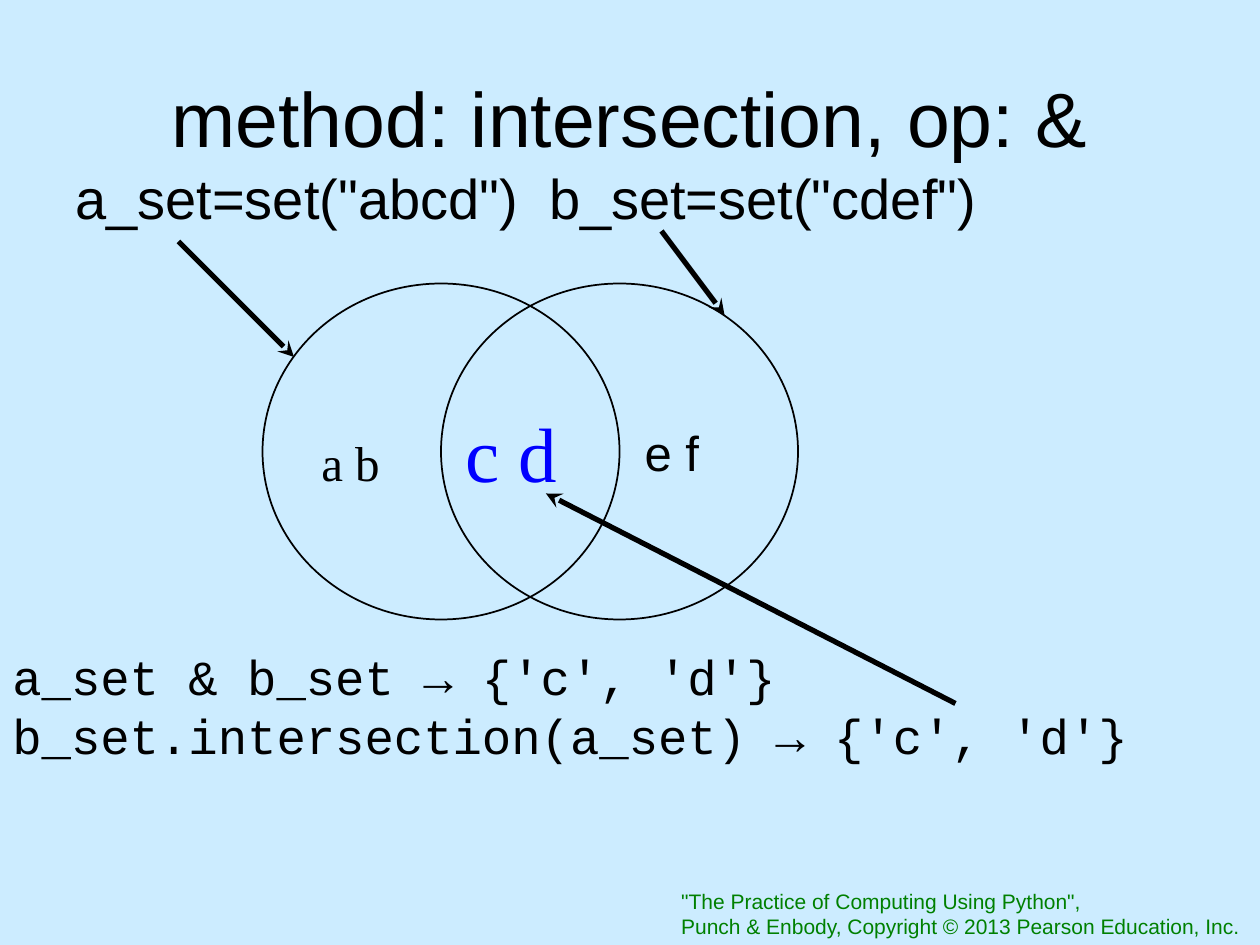
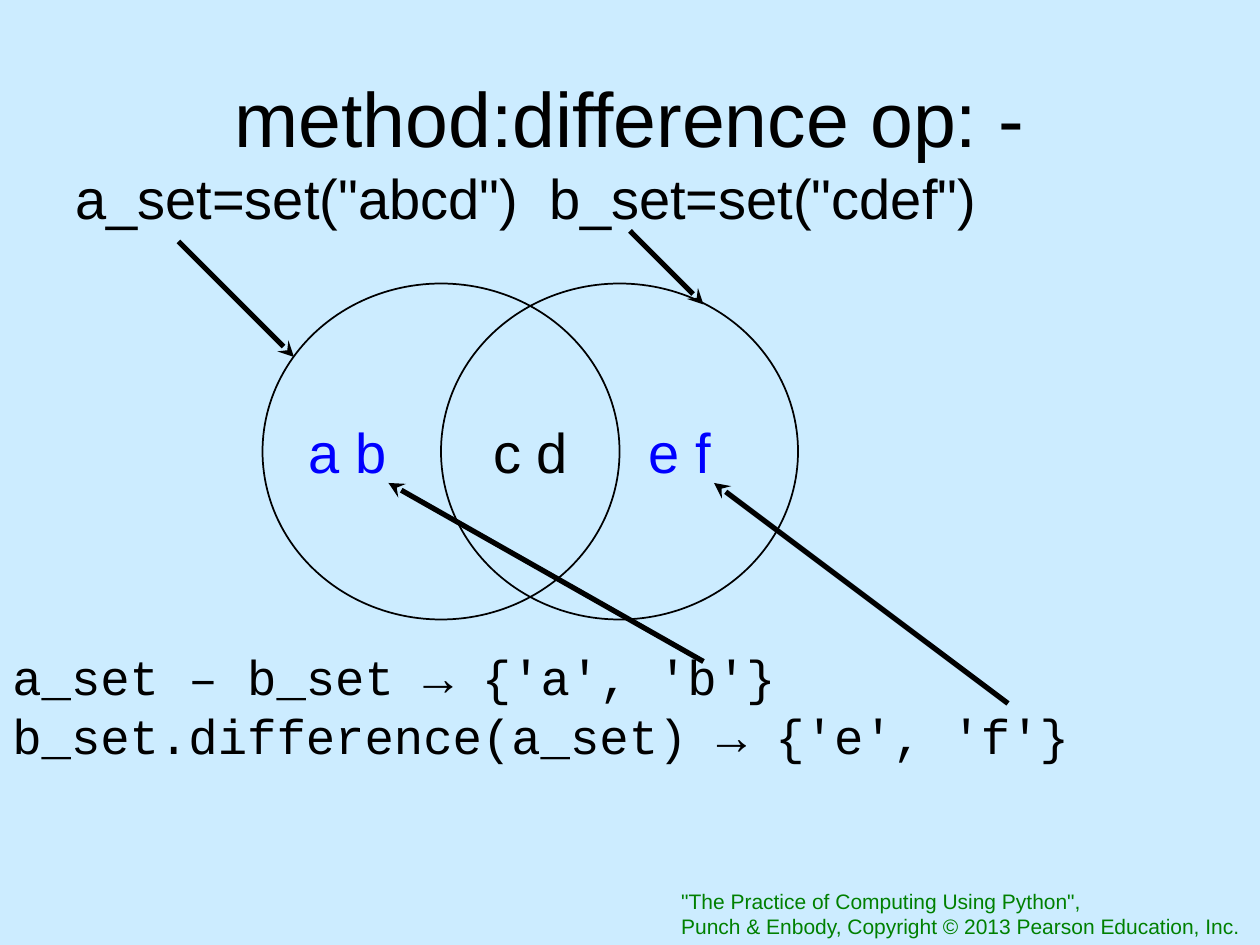
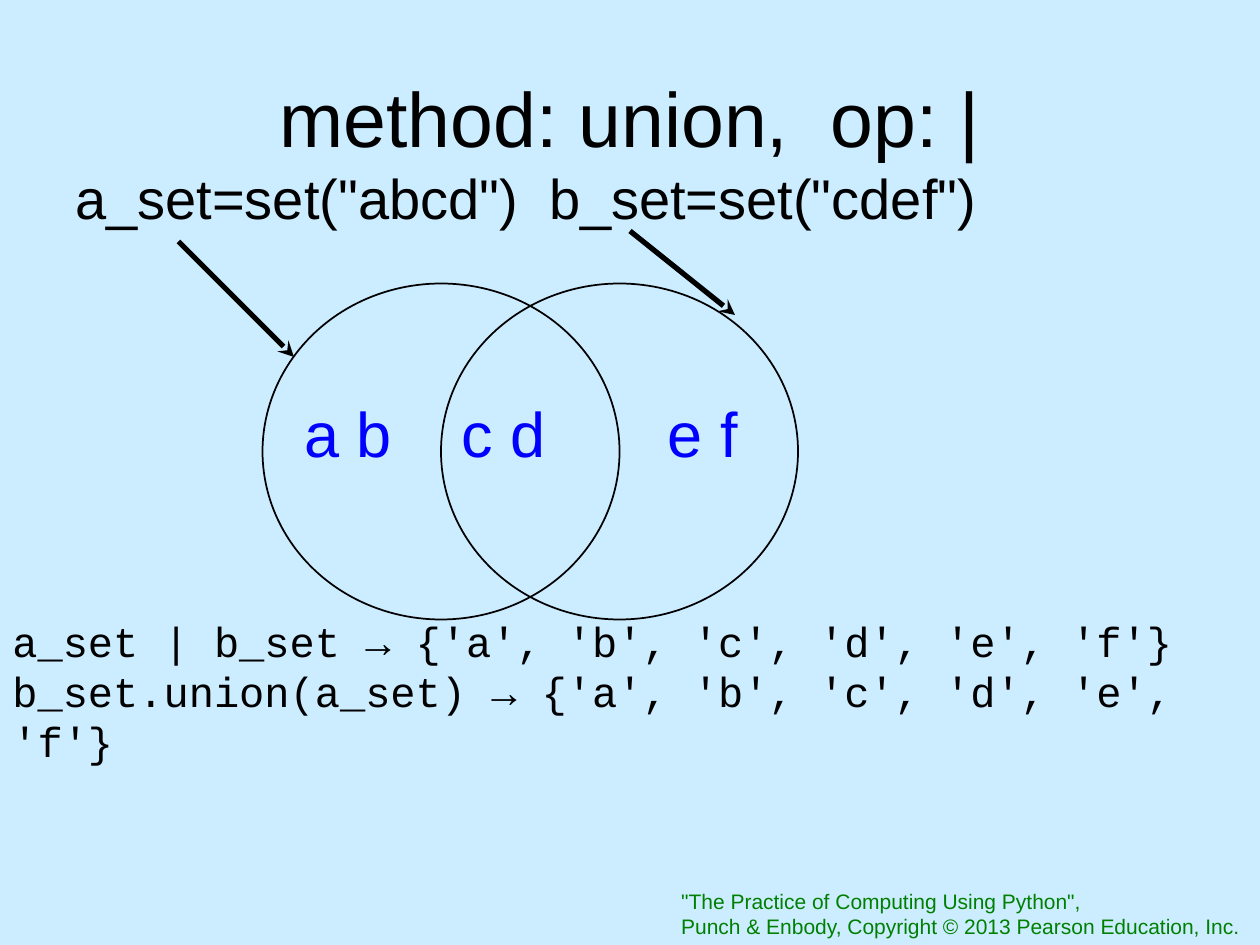
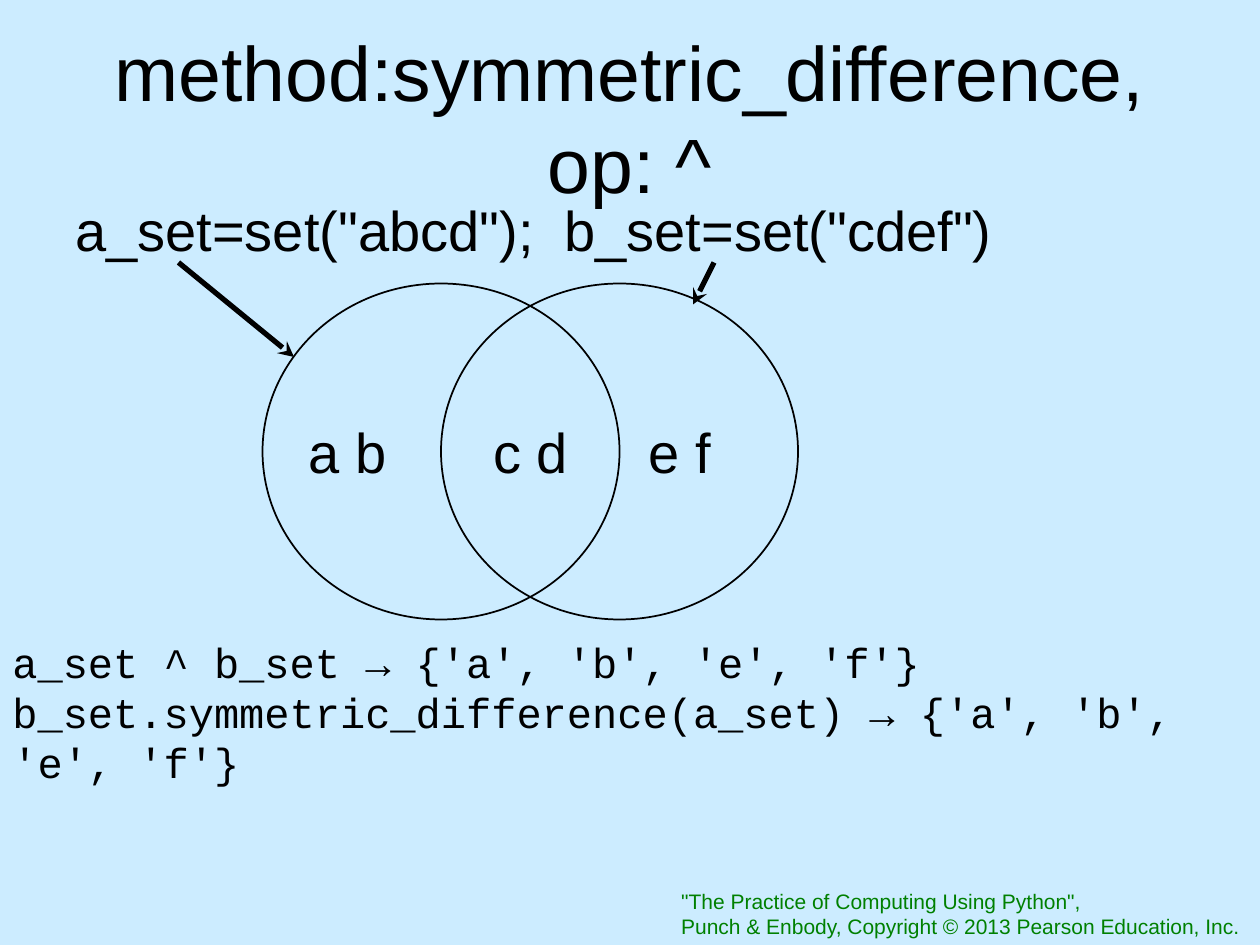
"""Build four slides on Python set operations, each with a two-circle diagram."""
from lxml import etree
from pptx import Presentation
from pptx.dml.color import RGBColor
from pptx.enum.shapes import MSO_CONNECTOR, MSO_SHAPE
from pptx.enum.text import MSO_ANCHOR, PP_ALIGN
from pptx.oxml.ns import qn
from pptx.util import Inches, Pt

LINE = MSO_CONNECTOR.STRAIGHT
OVAL = MSO_SHAPE.OVAL
TOP, MIDDLE = MSO_ANCHOR.TOP, MSO_ANCHOR.MIDDLE
LEFT, CENTER = PP_ALIGN.LEFT, PP_ALIGN.CENTER

COLS, ROWS = 120, 90
WIDTH, HEIGHT = Inches(10), Inches(7.5)
COLORS = {"back": "CCECFF", "ink": "000000", "mark": "0000FF", "foot": "008000"}
SANS, SERIF, MONO = "Arial", "Times New Roman", "Courier New"

CIRCLES = [(42, 27, 34, 32), (25, 27, 34, 32)]
TITLE = (6, 3.6, 108, 15)
FOOT = (63.7, 84, 56.2, 6)
SETS = 'a_set=set("abcd")  b_set=set("cdef")'
CREDIT = ('"The Practice of Computing Using Python",\n'
          "Punch & Enbody, Copyright © 2013 Pearson Education, Inc.")

SLIDES = [
    {
        "title": "method: intersection, op: &",
        "sets": SETS, "sets_box": (6, 15, 108, 65.4),
        "code": "a_set & b_set → {'c', 'd'}\n"
                "b_set.intersection(a_set) → {'c', 'd'}",
        "code_box": (0, 61, 120, 18.1), "code_size": 28,
        "labels": [("e f", 61.4, 43, 28, SANS, "ink"),
                   ("a b", 30.6, 44, 28, SERIF, "ink"),
                   ("c d", 44.3, 43, 44, SERIF, "mark")],
        "arrows": [(17, 23, 28, 34), (63, 22, 69, 30), (91, 67, 52, 47)],
    },
    {
        "title": "method:difference op: -",
        "sets": SETS, "sets_box": (6, 15, 108, 65.4),
        "code": "a_set – b_set → {'a', 'b'}\n"
                "b_set.difference(a_set) → {'e', 'f'}",
        "code_box": (0, 61, 120, 18.1), "code_size": 28,
        "labels": [("e f", 61.8, 43, 32, SANS, "mark"),
                   ("a b", 29.4, 43, 32, SANS, "mark"),
                   ("c d", 47, 43, 32, SANS, "ink")],
        "arrows": [(17, 23, 28, 34), (60, 22, 67, 29),
                   (67, 63, 37, 46), (96, 67, 68, 46)],
    },
    {
        "title": "method: union,  op: |",
        "sets": SETS, "sets_box": (6, 15, 108, 65.4),
        "code": "a_set | b_set → {'a', 'b', 'c', 'd', 'e', 'f'}\n"
                "b_set.union(a_set) → {'a', 'b', 'c', 'd', 'e', 'f'}",
        "code_box": (0, 58, 120, 25), "code_size": 24,
        "labels": [("a b", 29, 41.2, 36, SANS, "mark"),
                   ("c d", 44, 41.2, 36, SANS, "mark"),
                   ("e f", 63.6, 41.2, 36, SANS, "mark")],
        "arrows": [(17, 23, 28, 34), (60, 22, 70, 30)],
    },
    {
        "title": "method:symmetric_difference, op: ^",
        "sets": 'a_set=set("abcd");  b_set=set("cdef")',
        "sets_box": (6, 18, 114, 62.4),
        "code": "a_set ^ b_set → {'a', 'b', 'e', 'f'}\n"
                "b_set.symmetric_difference(a_set) → {'a', 'b', 'e', 'f'}",
        "code_box": (0, 60, 120, 25), "code_size": 24,
        "labels": [("e f", 61.8, 43, 32, SANS, "ink"),
                   ("a b", 29.4, 43, 32, SANS, "ink"),
                   ("c d", 47, 43, 32, SANS, "ink")],
        "arrows": [(17, 25, 28, 34), (68, 25, 66, 29)],
    },
]


def color(name):
    return RGBColor.from_string(COLORS[name])


def grid(*cells):
    """Turn alternating columns and rows into lengths."""
    units = (WIDTH / COLS, HEIGHT / ROWS)
    return [round(cell * units[i % 2]) for i, cell in enumerate(cells)]


def add_text(slide, text, box, size=32, font=SANS, ink="ink", align=LEFT,
             anchor=TOP, wrap=True, inset=True):
    frame = slide.shapes.add_textbox(*grid(*box)).text_frame
    frame.word_wrap = wrap
    frame.vertical_anchor = anchor
    if not inset:
        frame.margin_left = frame.margin_right = 0
        frame.margin_top = frame.margin_bottom = 0
    frame.text = text
    for para in frame.paragraphs:
        para.alignment = align
        for run in para.runs:
            run.font.name = font
            run.font.size = Pt(size)
            run.font.color.rgb = color(ink)


def add_label(slide, text, col, mid, size, font, ink):
    """Put a set's members at a column, centred on a row."""
    add_text(slide, text, (col, mid - 4, 12, 8), size=size, font=font, ink=ink,
             anchor=MIDDLE, inset=False)


def add_circle(slide, box):
    oval = slide.shapes.add_shape(OVAL, *grid(*box))
    oval.shadow.inherit = False
    oval.fill.background()
    oval.line.color.rgb = color("ink")
    oval.line.width = Pt(1)


def add_arrow(slide, ends):
    arrow = slide.shapes.add_connector(LINE, *grid(*ends))
    arrow.line.color.rgb = color("ink")
    arrow.line.width = Pt(3)
    props = arrow.line._get_or_add_ln()
    etree.SubElement(props, qn("a:tailEnd"), type="stealth")
    etree.SubElement(arrow._element.spPr, qn("a:effectLst"))


def add_slide(deck, data):
    slide = deck.slides.add_slide(deck.slide_layouts[6])
    add_text(slide, CREDIT, FOOT, size=12, ink="foot", wrap=False)
    add_text(slide, data["title"], TITLE, size=44, align=CENTER, anchor=MIDDLE)
    add_text(slide, data["sets"], data["sets_box"])
    add_text(slide, data["code"], data["code_box"], size=data["code_size"],
             font=MONO)
    for box in CIRCLES:
        add_circle(slide, box)
    for label in data["labels"]:
        add_label(slide, *label)
    for ends in data["arrows"]:
        add_arrow(slide, ends)


def main():
    deck = Presentation()
    deck.slide_width, deck.slide_height = WIDTH, HEIGHT
    fill = deck.slide_master.background.fill
    fill.solid()
    fill.fore_color.rgb = color("back")
    for data in SLIDES:
        add_slide(deck, data)
    deck.save("out.pptx")


if __name__ == "__main__":
    main()
